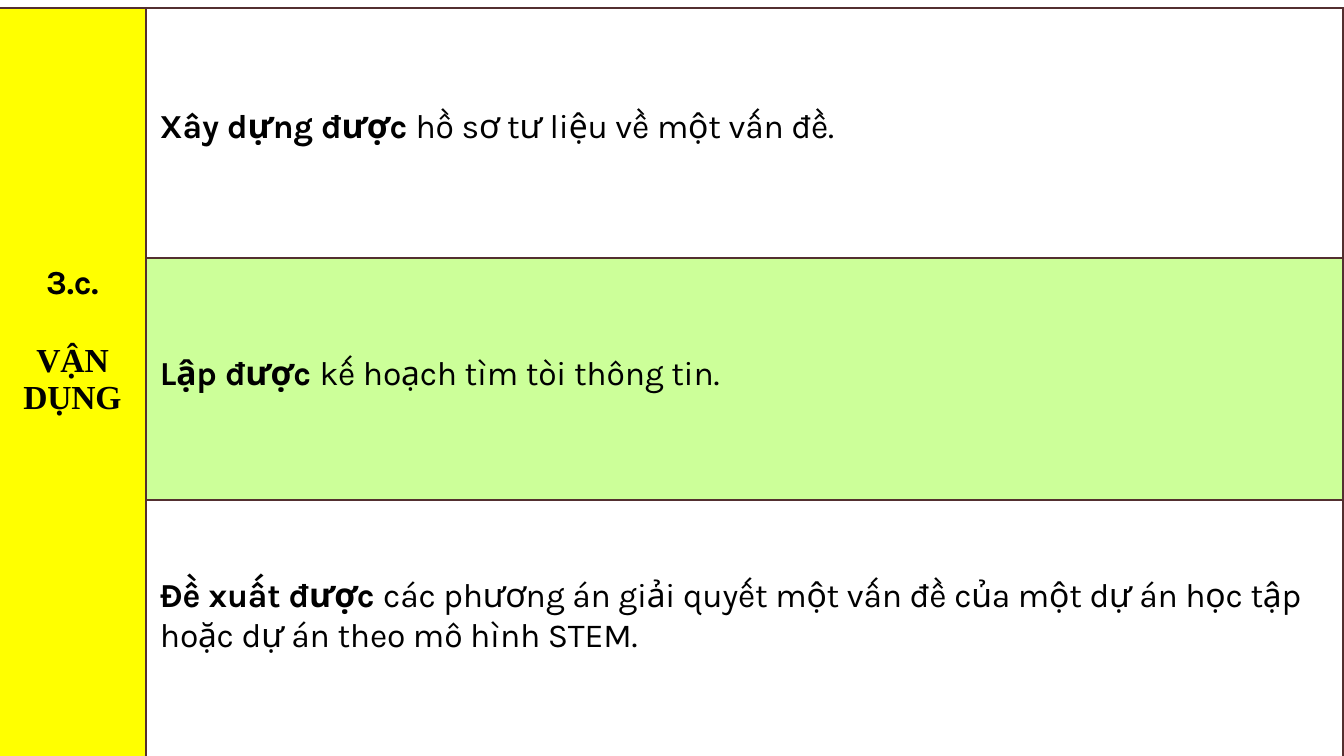
from lxml.etree import SubElement
from pptx import Presentation
from pptx.dml.color import RGBColor
from pptx.enum.text import MSO_ANCHOR, PP_ALIGN
from pptx.oxml.ns import qn
from pptx.util import Pt

EMU_PER_PX = 6804
BORDER_COLOUR = "532F30"
COLUMN_WIDTHS = (147, 1197)
ROW_HEIGHTS = (250, 242, 250)

# Top margin in px, fill, bold opening, rest of the sentence
OUTCOMES = [
    (100, None, "Xây dựng được ", "hồ sơ tư liệu về một vấn đề."),
    (97, "CCFF99", "Lập được ", "kế hoạch tìm tòi thông tin."),
    (77, None, "Đề xuất được ",
     "các phương án giải quyết một vấn đề của một dự án học tập  "
     "hoặc dự án theo mô hình STEM."),
]


def px(length):
    return length * EMU_PER_PX


def colour(hex_string):
    return RGBColor.from_string(hex_string)


def add_borders(cell):
    properties = cell._tc.get_or_add_tcPr()
    for side in ("lnL", "lnR", "lnT", "lnB"):
        line = SubElement(properties, qn(f"a:{side}"), w=str(Pt(1)))
        fill = SubElement(line, qn("a:solidFill"))
        SubElement(fill, qn("a:srgbClr"), val=BORDER_COLOUR)


def format_cell(cell, fill=None, left=0, top=0):
    add_borders(cell)
    if fill:
        cell.fill.solid()
        cell.fill.fore_color.rgb = colour(fill)
    else:
        cell.fill.background()
    values = {
        "margin_left": px(left), "margin_top": px(top),
        "margin_right": 0, "margin_bottom": 0,
        "vertical_anchor": MSO_ANCHOR.TOP,
    }
    for name, value in values.items():
        setattr(cell, name, value)


def add_run(paragraph, text, bold, font_name="Karla"):
    run = paragraph.add_run()
    run.text = text
    for name, value in {"name": font_name, "size": Pt(18), "bold": bold}.items():
        setattr(run.font, name, value)
    run.font.color.rgb = colour("000000")
    run._r.get_or_add_rPr().set("spc", "-10")


def fill_level_column(table):
    cells = [table.cell(row, 0) for row in range(len(ROW_HEIGHTS))]
    for cell in cells:
        format_cell(cell, "FFFF00", top=256)
    cells[0].merge(cells[-1])
    frame = cells[0].text_frame
    number, name = frame.paragraphs[0], frame.add_paragraph()
    number.alignment = name.alignment = PP_ALIGN.CENTER
    name.space_before = Pt(21)
    add_run(number, "3.c.", True)
    add_run(name, "VẬN DỤNG", True, "Times New Roman")


def fill_outcome_column(table):
    for row, (top, fill, opening, rest) in enumerate(OUTCOMES):
        cell = table.cell(row, 1)
        format_cell(cell, fill, left=14, top=top)
        paragraph = cell.text_frame.paragraphs[0]
        add_run(paragraph, opening, True)
        add_run(paragraph, rest, False)


def add_level_table(slide):
    table = slide.shapes.add_table(
        len(ROW_HEIGHTS), len(COLUMN_WIDTHS), px(-1), px(8),
        px(sum(COLUMN_WIDTHS)), px(sum(ROW_HEIGHTS))).table
    table.first_row = table.horz_banding = False
    for column, width in zip(table.columns, COLUMN_WIDTHS):
        column.width = px(width)
    for row, height in zip(table.rows, ROW_HEIGHTS):
        row.height = px(height)
    fill_level_column(table)
    fill_outcome_column(table)


def main():
    presentation = Presentation()
    presentation.slide_width = px(1344)
    presentation.slide_height = px(756)
    slide = presentation.slides.add_slide(presentation.slide_layouts[6])
    add_level_table(slide)
    presentation.save("out.pptx")


if __name__ == "__main__":
    main()
